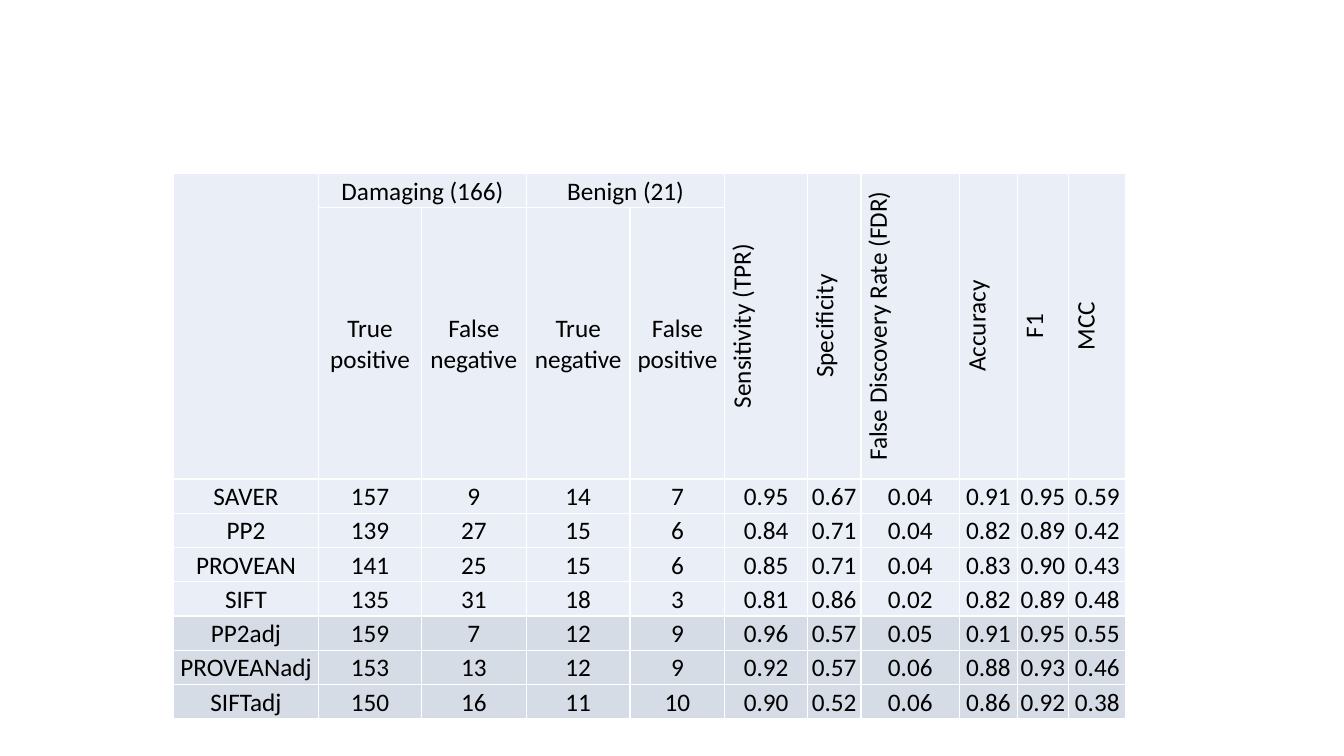
from lxml.etree import SubElement
from pptx import Presentation
from pptx.dml.color import RGBColor
from pptx.enum.text import MSO_ANCHOR, PP_ALIGN
from pptx.oxml.ns import qn
from pptx.util import Inches, Pt

BLACK = RGBColor(0x00, 0x00, 0x00)
WHITE = RGBColor(0xFF, 0xFF, 0xFF)
PALE_BLUE = RGBColor(0xEA, 0xEF, 0xF7)
GREY_BLUE = RGBColor(0xD6, 0xDC, 0xE5)

LEFT = TOP = 1.72
COLUMN_WIDTHS = [1.44, 1.02, 1.04, 1.03, 0.94, 0.82, 0.53, 0.98, 0.57, 0.51, 0.57]
ROW_HEIGHT = 0.34
HEADER_HEIGHT = 1.18
FIRST_METRIC = 5

GROUPS = ["", "Damaging (166)", "", "Benign (21)", ""]
METRICS = ["Sensitivity (TPR)", "Specificity", "False Discovery Rate (FDR)",
           "Accuracy", "F1", "MCC"]
COUNTS = ["", "True positive", "False negative", "True negative", "False positive"]
RESULTS = [
    ["SAVER", "157", "9", "14", "7", "0.95", "0.67", "0.04", "0.91", "0.95", "0.59"],
    ["PP2", "139", "27", "15", "6", "0.84", "0.71", "0.04", "0.82", "0.89", "0.42"],
    ["PROVEAN", "141", "25", "15", "6", "0.85", "0.71", "0.04", "0.83", "0.90", "0.43"],
    ["SIFT", "135", "31", "18", "3", "0.81", "0.86", "0.02", "0.82", "0.89", "0.48"],
    ["PP2adj", "159", "7", "12", "9", "0.96", "0.57", "0.05", "0.91", "0.95", "0.55"],
    ["PROVEANadj", "153", "13", "12", "9", "0.92", "0.57", "0.06", "0.88", "0.93", "0.46"],
    ["SIFTadj", "150", "16", "11", "10", "0.90", "0.52", "0.06", "0.86", "0.92", "0.38"],
]
ROWS = [GROUPS + METRICS, COUNTS + [""] * len(METRICS)] + RESULTS


def write(tf, text, size=18, font="Calibri", color=BLACK, align=PP_ALIGN.CENTER):
    p = tf.paragraphs[0]
    p.alignment = align
    p.font.size = Pt(size)
    if text:
        r = p.add_run()
        r.text = text
        r.font.size = Pt(size)
        r.font.name = font
        r.font.color.rgb = color


def add_borders(cell, color=WHITE, width=1):
    tcPr = cell._tc.get_or_add_tcPr()
    for side in ("a:lnL", "a:lnR", "a:lnT", "a:lnB"):
        line = SubElement(tcPr, qn(side), w=str(Pt(width)))
        fill = SubElement(line, qn("a:solidFill"))
        SubElement(fill, qn("a:srgbClr"), val=str(color))


def format_cell(cell, text, fill, vertical=False):
    add_borders(cell)
    cell.fill.solid()
    cell.fill.fore_color.rgb = fill
    cell.margin_left = cell.margin_right = cell.margin_top = Inches(0.02)
    cell.margin_bottom = 0
    cell.vertical_anchor = MSO_ANCHOR.MIDDLE
    if vertical:
        cell._tc.get_or_add_tcPr().set("vert", "vert270")
    write(cell.text_frame, text)


def merge_headers(table):
    for column in (1, 3):
        table.cell(0, column).merge(table.cell(0, column + 1))
    for column in (0, *range(FIRST_METRIC, len(COLUMN_WIDTHS))):
        table.cell(0, column).merge(table.cell(1, column))


def add_results_table(s):
    heights = [ROW_HEIGHT, HEADER_HEIGHT] + [ROW_HEIGHT] * len(RESULTS)
    table = s.shapes.add_table(
        len(ROWS), len(COLUMN_WIDTHS), Inches(LEFT), Inches(TOP),
        Inches(sum(COLUMN_WIDTHS)), Inches(sum(heights))).table
    table.first_row = table.horz_banding = False
    for column, width in zip(table.columns, COLUMN_WIDTHS):
        column.width = Inches(width)
    for row, height in zip(table.rows, heights):
        row.height = Inches(height)
    for i, values in enumerate(ROWS):
        fill = GREY_BLUE if values[0].endswith("adj") else PALE_BLUE
        for j, text in enumerate(values):
            format_cell(table.cell(i, j), text, fill,
                        vertical=i == 0 and j >= FIRST_METRIC)
    merge_headers(table)


def main():
    prs = Presentation()
    prs.slide_width, prs.slide_height = Inches(13.33), Inches(7.5)
    s = prs.slides.add_slide(prs.slide_layouts[6])
    add_results_table(s)
    prs.save("out.pptx")


if __name__ == "__main__":
    main()
